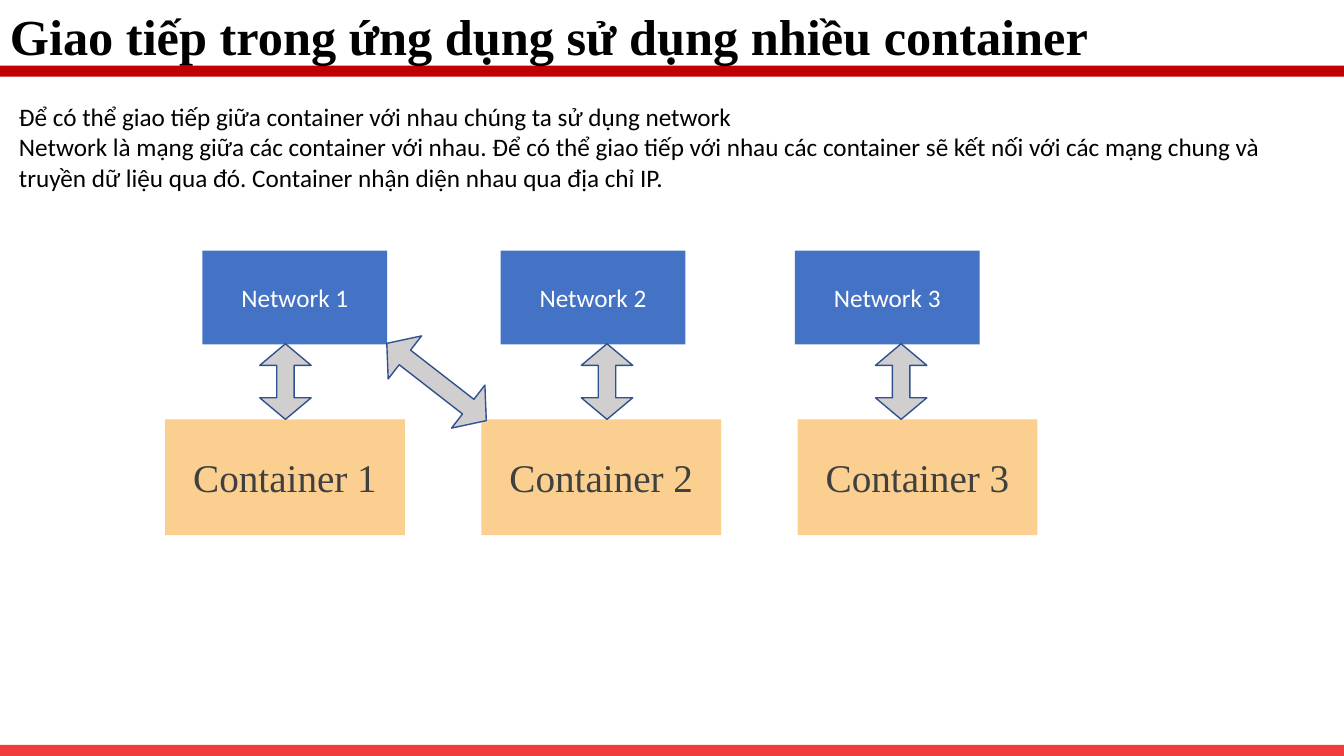
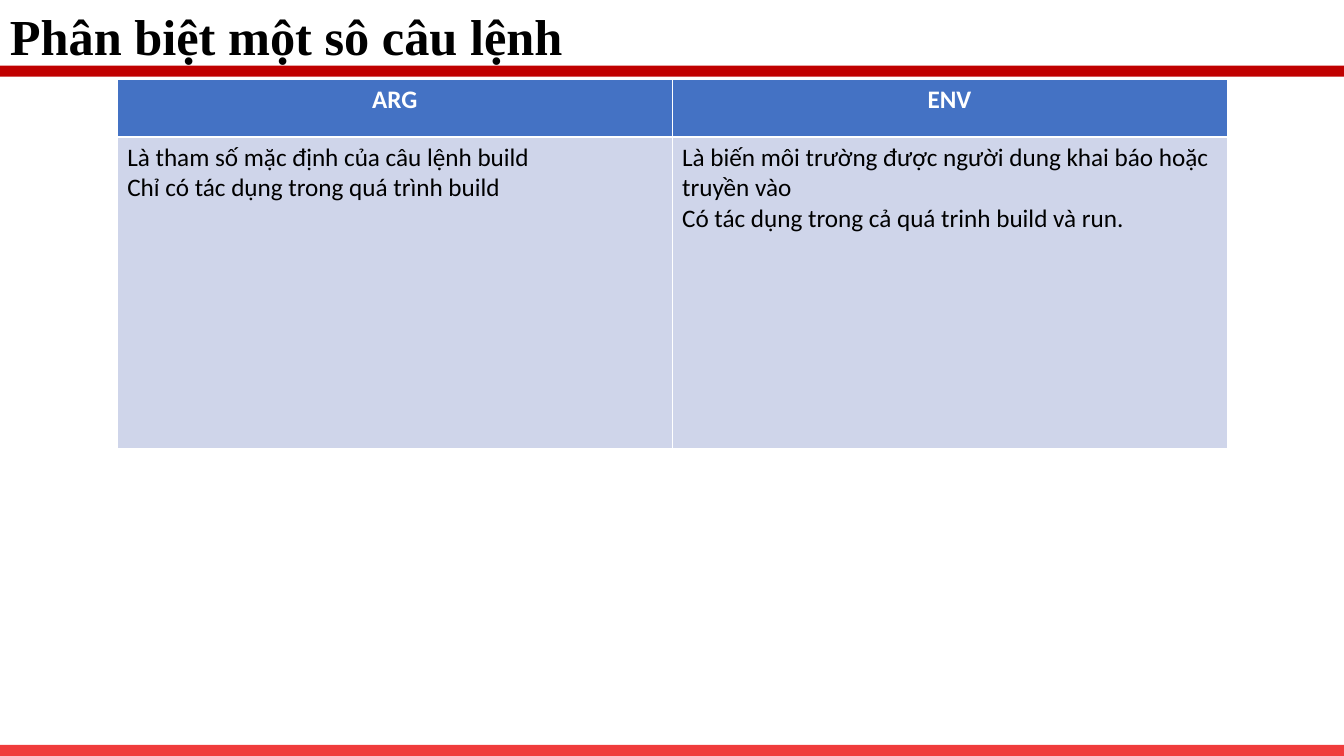
"""Builds two slides on container networking and on ARG versus ENV."""
from lxml.etree import SubElement
from pptx import Presentation
from pptx.dml.color import RGBColor
from pptx.enum.shapes import MSO_SHAPE as Preset
from pptx.enum.text import MSO_ANCHOR as Anchor, PP_ALIGN as Align
from pptx.oxml.ns import qn
from pptx.util import Pt

BLUE, PALE_BLUE, ARROW_EDGE = "4472C4", "CFD5EA", "2F528F"
TITLE_RED, FOOTER_RED = "C00000", "F03C3C"
ORANGE, GREY, DARK = "FBCF8F", "D0CECE", "404040"
BLACK, WHITE = "000000", "FFFFFF"
SERIF, SANS = "Times New Roman", "Calibri"
WIDTH, HEIGHT, BAND = 960.48, 540, 7.9


def write(frame, text, size=18, font=SANS, color=BLACK, bold=False,
          align=Align.LEFT, anchor=Anchor.TOP):
    frame.word_wrap = True
    frame.vertical_anchor = anchor
    frame.text = text
    for paragraph in frame.paragraphs:
        paragraph.alignment = align
        style = paragraph.font
        style.size, style.name, style.bold = Pt(size), font, bold
        style.color.rgb = RGBColor.from_string(color)


def draw(slide, preset, left, top, width, height, fill, edge=None):
    shape = slide.shapes.add_shape(preset, Pt(left), Pt(top), Pt(width), Pt(height))
    shape.shadow.inherit = False
    shape.fill.solid()
    shape.fill.fore_color.rgb = RGBColor.from_string(fill)
    if edge:
        shape.line.color.rgb = RGBColor.from_string(edge)
        shape.line.width = Pt(1)
    else:
        shape.line.fill.background()
    return shape


deck = Presentation()
deck.slide_width, deck.slide_height = Pt(WIDTH), Pt(HEIGHT)

slides = []
for heading in ("Giao tiếp trong ứng dụng sử dụng nhiều container",
                "Phân biệt một sô câu lệnh"):
    slide = deck.slides.add_slide(deck.slide_layouts[6])
    draw(slide, Preset.RECTANGLE, 0, 46.8, WIDTH, BAND, TITLE_RED)
    draw(slide, Preset.RECTANGLE, 0, HEIGHT - BAND, WIDTH, BAND, FOOTER_RED)
    title = slide.shapes.add_textbox(0, 0, Pt(901), Pt(50.4))
    write(title.text_frame, heading, size=36, font=SERIF, bold=True)
    slides.append(slide)
network_slide, command_slide = slides

intro = network_slide.shapes.add_textbox(Pt(6.5), Pt(69), Pt(953), Pt(72))
write(intro.text_frame,
      "Để có thể giao tiếp giữa container với nhau chúng ta sử dụng network\n"
      "Network là mạng giữa các container với nhau. Để có thể giao tiếp với nhau "
      "các container sẽ kết nối với các mạng chung và truyền dữ liệu qua đó. "
      "Container nhận diện nhau qua địa chỉ IP.")

links = [(177, 254.2, 54, 36.7, 270), (406.8, 254.2, 54, 36.7, 270),
         (617, 254.2, 54, 36.7, 270), (267, 253.4, 90, 38.9, 217.8)]
for number, network_left in enumerate((144.7, 357.8, 568.1), start=1):
    network = draw(network_slide, Preset.RECTANGLE, network_left, 179, 132, 67, BLUE)
    write(network.text_frame, f"Network {number}", color=WHITE,
          align=Align.CENTER, anchor=Anchor.MIDDLE)
    container = draw(network_slide, Preset.RECTANGLE,
                     118 + 226 * (number - 1), 299.5, 171.4, 82.8, ORANGE)
    write(container.text_frame, f"Container {number}", size=28, font=SERIF,
          color=DARK, align=Align.CENTER, anchor=Anchor.MIDDLE)
for left, top, width, height, angle in links:
    link = draw(network_slide, Preset.LEFT_RIGHT_ARROW,
                left, top, width, height, GREY, ARROW_EDGE)
    link.rotation = angle
    link.adjustments[0], link.adjustments[1] = 0.34, 0.42

commands = [
    ("ARG", "ENV"),
    ("Là tham số mặc định của câu lệnh build\nChỉ có tác dụng trong quá trình build",
     "Là biến môi trường được người dung khai báo hoặc truyền vào\n"
     "Có tác dụng trong cả quá trinh build và run."),
]
row_styles = [
    (41, BLUE, {"color": WHITE, "bold": True, "align": Align.CENTER}, "lnB"),
    (222.5, PALE_BLUE, {}, "lnT"),
]
comparison = command_slide.shapes.add_table(
    2, 2, Pt(83.8), Pt(56.9), Pt(793), Pt(263.5)).table
for row, texts, (height, fill, style, thick_side) in zip(
        comparison.rows, commands, row_styles):
    row.height = Pt(height)
    for cell, text in zip(row.cells, texts):
        write(cell.text_frame, text, **style)
        properties = cell._tc.get_or_add_tcPr()
        for side in ("lnL", "lnR", "lnT", "lnB"):
            weight = Pt(1.47 if side == thick_side else 0.45)
            border = SubElement(properties, qn(f"a:{side}"), w=str(weight))
            SubElement(SubElement(border, qn("a:solidFill")), qn("a:srgbClr"), val=WHITE)
        cell.fill.solid()
        cell.fill.fore_color.rgb = RGBColor.from_string(fill)

deck.save("out.pptx")
